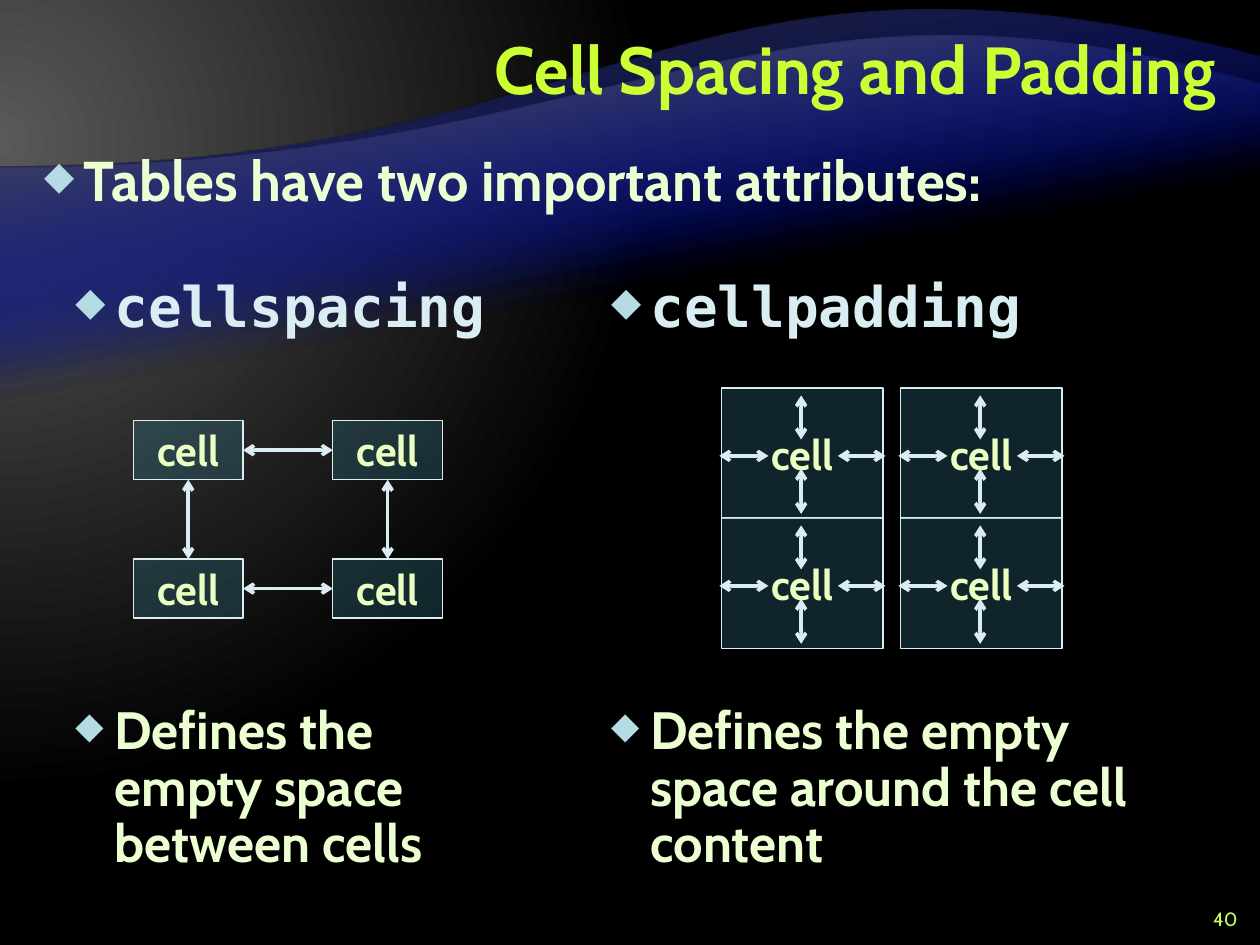
from itertools import product

from pptx import Presentation
from pptx.dml.color import RGBColor
from pptx.enum.shapes import MSO_CONNECTOR, MSO_SHAPE
from pptx.enum.text import MSO_ANCHOR, PP_ALIGN
from pptx.oxml import parse_xml
from pptx.oxml.ns import nsdecls
from pptx.util import Cm, Pt

RECTANGLE = MSO_SHAPE.RECTANGLE
STRAIGHT = MSO_CONNECTOR.STRAIGHT
TOP, MIDDLE = MSO_ANCHOR.TOP, MSO_ANCHOR.MIDDLE
LEFT, CENTER, RIGHT = PP_ALIGN.LEFT, PP_ALIGN.CENTER, PP_ALIGN.RIGHT


def color(hex_code):
    return RGBColor.from_string(hex_code)


def drawing(tag, attributes="", content=""):
    return parse_xml(f'<a:{tag} {nsdecls("a")} {attributes}>{content}</a:{tag}>')


def gradient(stops, shading):
    marks = "".join(
        f'<a:gs pos="{position * 1000}"><a:srgbClr val="{hex_code}">'
        f'<a:alpha val="{opacity * 1000}"/></a:srgbClr></a:gs>'
        for position, hex_code, opacity in stops
    )
    return drawing("gradFill", 'rotWithShape="1"', f"<a:gsLst>{marks}</a:gsLst>{shading}")


def write(frame, text, size=32, ink="EBFFD2", font="Cabin", bold=True, align=LEFT,
          anchor=TOP, spacing=None, bullet=False, wrap=True):
    frame.word_wrap = wrap
    frame.vertical_anchor = anchor
    paragraph = frame.paragraphs[0]
    paragraph.alignment = align
    if bullet:
        properties = paragraph._p.get_or_add_pPr()
        properties.set("marL", str(Cm(0.79)))
        properties.set("indent", str(-Cm(0.79)))
        properties.append(drawing("buClr", content='<a:srgbClr val="B5DBE5"/>'))
        properties.append(drawing("buSzPct", 'val="70000"'))
        properties.append(drawing("buChar", 'char="◆"'))
        paragraph.space_after = Pt(6)
        spacing = 0.9
    if spacing:
        paragraph.line_spacing = spacing
    run = paragraph.add_run()
    run.text = text
    run.font.name = font
    run.font.size = Pt(size)
    run.font.bold = bold
    run.font.color.rgb = color(ink)


class TableLesson:
    line_ink = "DAEDF2"
    cell_fill = "337D8F"
    cell_ink = "EBFFC2"
    code_font = "DejaVu Sans Mono"

    def __init__(self, slide):
        self.slide = slide

    def background(self, stops, shading):
        self.slide.background.fill.solid()
        backdrop = self.slide.element.xpath("p:cSld/p:bg/p:bgPr")[0]
        backdrop.replace(backdrop[0], gradient(stops, shading))

    def wave(self, top, height, shoulder, crest, tint):
        width = 25.4
        builder = self.slide.shapes.build_freeform(0, Cm(top))
        corners = [(width, 0), (width, shoulder), (0, height)]
        builder.add_line_segments([(Cm(x), Cm(top + y)) for x, y in corners])
        band = builder.convert_to_shape()
        band.rotation = 180
        band.shadow.inherit = False
        band.line.fill.background()
        curve = "".join(
            f'<a:pt x="{Cm(x)}" y="{Cm(y)}"/>'
            for x, y in [(width / 2, shoulder), crest, (0, height)]
        )
        properties = band.element.spPr
        edge = properties.xpath(".//a:lnTo")[-1]
        edge.getparent().replace(edge, drawing("cubicBezTo", content=curve))
        stops = [(65, "000D9E", 0), (100, tint, 100)]
        shading = '<a:lin ang="4800000" scaled="0"/>'
        properties.xpath("a:custGeom")[0].addnext(gradient(stops, shading))

    def text(self, content, left, top, width, height, **style):
        box = self.slide.shapes.add_textbox(Cm(left), Cm(top), Cm(width), Cm(height))
        write(box.text_frame, content, **style)

    def cell(self, left, top, width, height, padding=(0.25, 0.13)):
        cell = self.slide.shapes.add_shape(RECTANGLE, Cm(left), Cm(top), Cm(width), Cm(height))
        cell.shadow.inherit = False
        cell.fill.solid()
        cell.fill.fore_color.rgb = color(self.cell_fill)
        fill_color = cell.element.spPr.xpath("a:solidFill/a:srgbClr")[0]
        fill_color.append(drawing("alpha", 'val="30000"'))
        cell.line.color.rgb = color(self.line_ink)
        cell.line.width = Pt(0.75)
        frame = cell.text_frame
        frame.margin_left = frame.margin_right = Cm(padding[0])
        frame.margin_top = frame.margin_bottom = Cm(padding[1])
        write(frame, "cell", size=24, ink=self.cell_ink, align=CENTER, anchor=MIDDLE, wrap=False)

    def arrow(self, x1, y1, x2, y2):
        arrow = self.slide.shapes.add_connector(STRAIGHT, Cm(x1), Cm(y1), Cm(x2), Cm(y2))
        arrow.line.color.rgb = color(self.line_ink)
        arrow.line.width = Pt(2)
        outline = arrow.line._get_or_add_ln()
        for end in ("headEnd", "tailEnd"):
            outline.append(drawing(end, 'type="arrow"'))
        arrow.element.spPr.append(drawing("effectLst"))

    def attribute(self, name, meaning, left, width):
        self.text(name, left, 5.51, width, 1.5, font=self.code_font, ink=self.line_ink, bullet=True)
        self.text(meaning, left, 14.07, width, 4, size=30, bullet=True)

    def spacing_diagram(self):
        left, top, width, height = 2.69, 8.48, 2.21, 1.19
        step_x, step_y = 4.02, 2.79
        columns = (left, left + step_x)
        rows = (top, top + step_y)
        for y, x in product(rows, columns):
            self.cell(x, y, width, height)
        for y in rows:
            self.arrow(left + width, y + height / 2, left + step_x, y + height / 2)
        for x in columns:
            self.arrow(x + width / 2, top + height, x + width / 2, top + step_y)

    def padding_diagram(self):
        gaps = [
            (1.6, 1.63, 1.6, 2.54),
            (-0.05, 1.37, 0.94, 1.37),
            (2.34, 1.37, 3.3, 1.37),
            (1.6, 0.15, 1.6, 1.04),
        ]
        for x, y in product((14.55, 18.16), (7.82, 10.44)):
            self.cell(x, y, 3.25, 2.64, padding=(0.99, 0.79))
            for x1, y1, x2, y2 in gaps:
                self.arrow(x + x1, y + y1, x + x2, y + y2)


def main():
    deck = Presentation()
    deck.slide_width, deck.slide_height = Cm(25.4), Cm(19.05)
    lesson = TableLesson(deck.slides.add_slide(deck.slide_layouts[6]))

    lesson.background(
        [(0, "595959", 100), (83, "000000", 100)],
        '<a:path path="circle"><a:fillToRect l="20000" t="30000" r="135000" b="100000"/></a:path>',
    )
    for _ in range(2):
        lesson.wave(1.14, 15.44, 13.21, (11.84, 18.49), "262626")
        lesson.wave(1.7, 12.45, 10.77, (10.21, 15.39), "595959")

    lesson.attribute("cellpadding", "Defines the empty space around the cell content", 12.07, 11.86)
    lesson.attribute("cellspacing", "Defines the empty space between cells", 1.27, 9.32)
    lesson.text("Cell Spacing and Padding", 5.08, 0.2, 19.69, 2.54, size=38, ink="CCFF33",
                align=RIGHT, anchor=MIDDLE, spacing=Pt(40))
    lesson.text("Tables have two important attributes:", 0.64, 2.97, 24.13, 1.47, bullet=True)
    lesson.text("40", 23.93, 18.21, 1.27, 0.64, size=11, ink="CCFF66", bold=False,
                align=RIGHT, anchor=MIDDLE)
    lesson.spacing_diagram()
    lesson.padding_diagram()
    deck.save("out.pptx")


if __name__ == "__main__":
    main()
